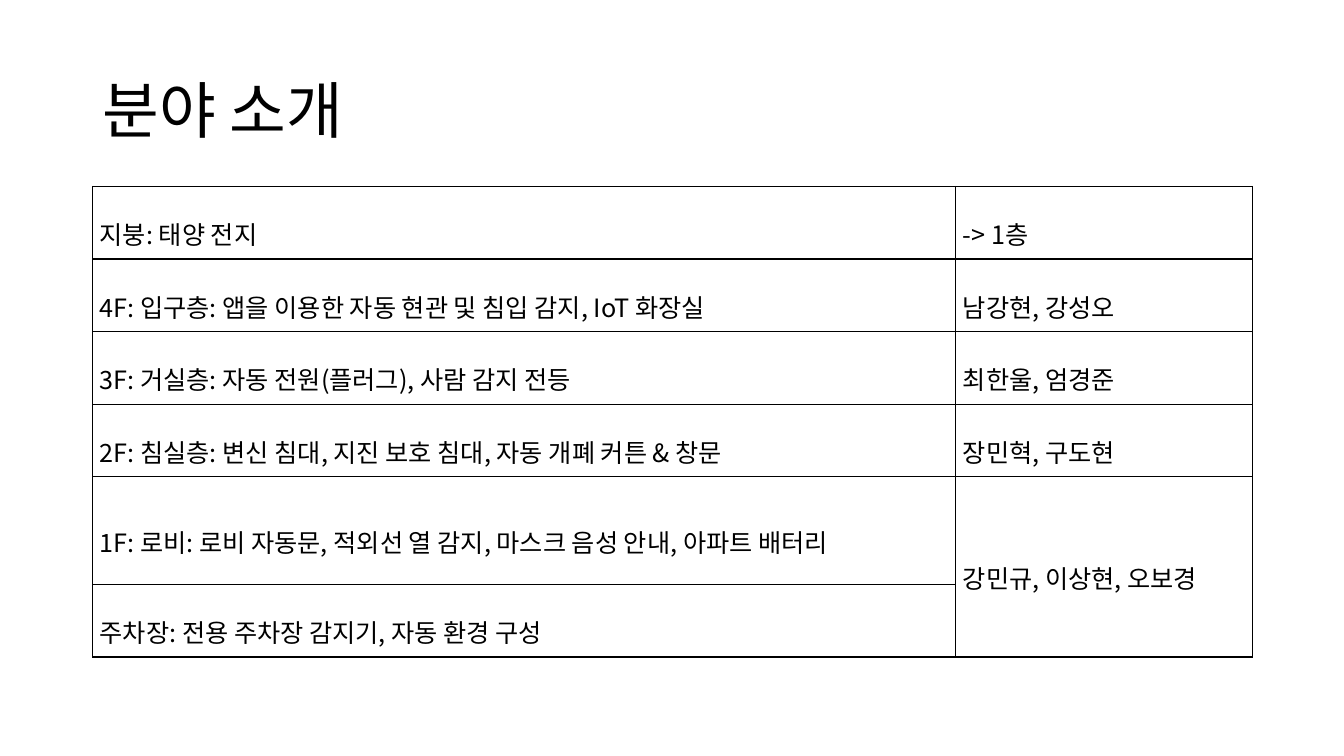
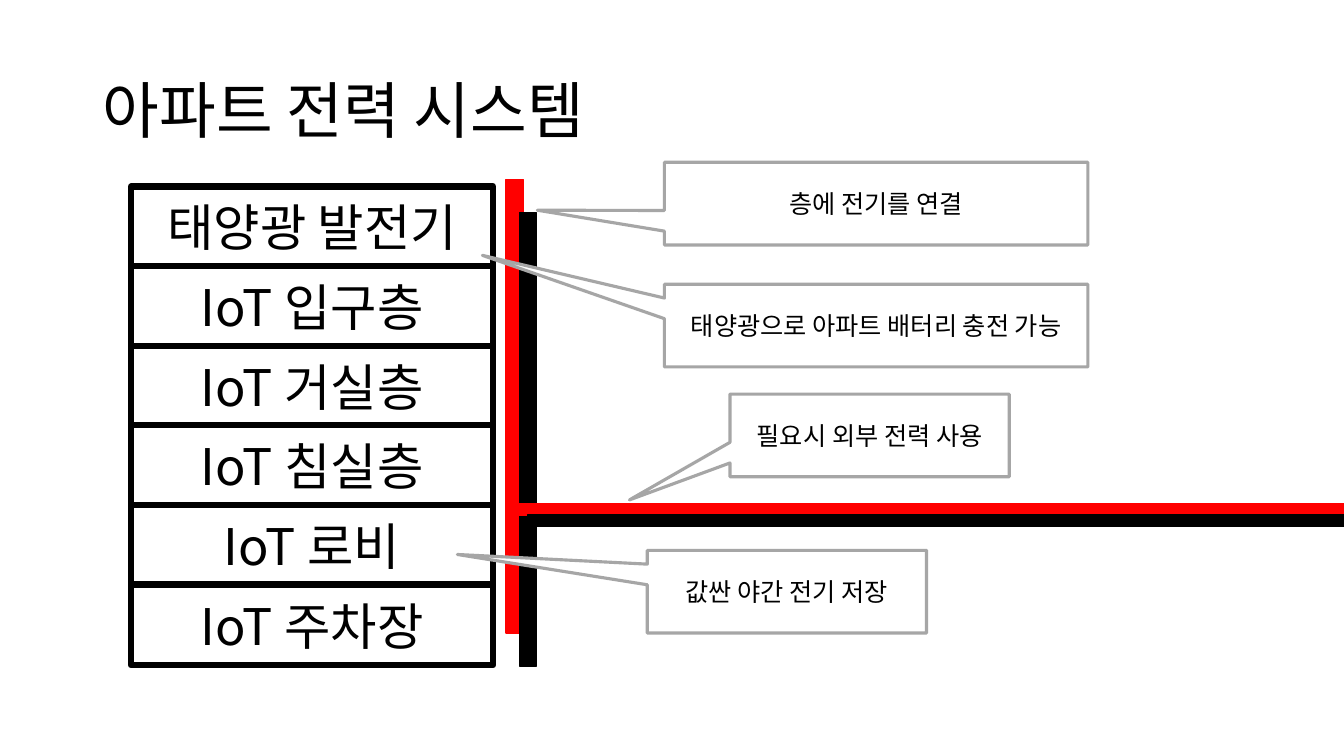
"""Build two slides: the floor assignments and the apartment power system."""
from lxml.etree import SubElement
from pptx import Presentation
from pptx.dml.color import RGBColor
from pptx.enum.shapes import MSO_SHAPE as SHAPE
from pptx.enum.text import MSO_ANCHOR as ANCHOR, PP_ALIGN as ALIGN
from pptx.oxml import parse_xml
from pptx.oxml.ns import nsdecls, qn
from pptx.util import Inches, Pt

COLORS = {"ink": "000000", "paper": "FFFFFF", "live": "FF0000", "callout": "A6A6A6"}
FONT = "Noto Sans CJK KR"


def write(frame, text, size=18, align=ALIGN.CENTER, spacing=None):
    frame.word_wrap = True
    paragraph = frame.paragraphs[0]
    paragraph.alignment = align
    paragraph.line_spacing = spacing
    run = paragraph.add_run()
    run.text = text
    run.font.size = Pt(size)
    run.font.name = FONT
    run.font.color.rgb = RGBColor.from_string(COLORS["ink"])
    SubElement(run.font._element, qn("a:ea"), typeface=FONT)


def add_box(slide, kind, bounds, fill, line, weight):
    box = slide.shapes.add_shape(kind, *map(Inches, bounds))
    box.shadow.inherit = False
    box.fill.solid()
    box.fill.fore_color.rgb = RGBColor.from_string(COLORS[fill])
    box.line.color.rgb = RGBColor.from_string(COLORS[line])
    box.line.width = Pt(weight)
    box.text_frame.vertical_anchor = ANCHOR.MIDDLE
    return box


deck = Presentation()
deck.slide_width, deck.slide_height = Inches(13.33), Inches(7.5)

slides = []
for heading in ("분야 소개", "아파트 전력 시스템"):
    slide = deck.slides.add_slide(deck.slide_layouts[6])
    title = slide.shapes.add_textbox(Inches(0.92), Inches(0.4), Inches(11.5), Inches(1.45))
    title.text_frame.vertical_anchor = ANCHOR.MIDDLE
    write(title.text_frame, heading, size=44, align=ALIGN.LEFT, spacing=0.9)
    slides.append(slide)
fields, power = slides

assignments = [
    ("지붕: 태양 전지", "-> 1층", 0.72),
    ("4F: 입구층: 앱을 이용한 자동 현관 및 침입 감지, IoT 화장실", "남강현, 강성오", 0.72),
    ("3F: 거실층: 자동 전원(플러그), 사람 감지 전등", "최한울, 엄경준", 0.72),
    ("2F: 침실층: 변신 침대, 지진 보호 침대, 자동 개폐 커튼 & 창문", "장민혁, 구도현", 0.72),
    ("1F: 로비: 로비 자동문, 적외선 열 감지, 마스크 음성 안내, 아파트 배터리",
     "강민규, 이상현, 오보경", 1.07),
    ("주차장: 전용 주차장 감지기, 자동 환경 구성", None, 0.72),
]
table = fields.shapes.add_table(len(assignments), 2, Inches(0.92), Inches(1.85),
                                Inches(11.5), Inches(4.68)).table
table.first_row = table.horz_banding = False
table.columns[0].width, table.columns[1].width = Inches(8.56), Inches(2.94)
table.cell(4, 1).merge(table.cell(5, 1))
for row, (work, team, height) in enumerate(assignments):
    table.rows[row].height = Inches(height)
    for column, text in enumerate((work, team)):
        cell = table.cell(row, column)
        cell.fill.background()
        cell.vertical_anchor = ANCHOR.MIDDLE
        cell.margin_left = cell.margin_right = Inches(0.07)
        cell.margin_top = cell.margin_bottom = Inches(0.02)
        if text:
            write(cell.text_frame, text, align=ALIGN.JUSTIFY, spacing=1.6)
        for place, side in enumerate(("lnL", "lnR", "lnT", "lnB")):
            border = parse_xml(
                f'<a:{side} {nsdecls("a")} w="{Pt(1)}"><a:solidFill>'
                f'<a:srgbClr val="{COLORS["ink"]}"/></a:solidFill></a:{side}>')
            cell._tc.get_or_add_tcPr().insert(place, border)

floors = ["태양광 발전기", "IoT 입구층", "IoT 거실층", "IoT 침실층", "IoT 로비", "IoT 주차장"]
for level, name in enumerate(floors):
    floor = add_box(power, SHAPE.RECTANGLE, (1.3, 1.85 + 0.79 * level, 3.59, 0.8),
                    "paper", "ink", 4.5)
    write(floor.text_frame, name, size=36)

wires = [
    ((5.02, 1.78, 0.17, 4.5), "live"),
    ((5.15, 2.11, 0.17, 4.5), "ink"),
    ((5.02, 5, 8.31, 0.11), "live"),
    ((5.23, 5.11, 8.1, 0.11), "ink"),
]
for bounds, color in wires:
    add_box(power, SHAPE.RECTANGLE, bounds, color, color, 1)

notes = [
    ("층에 전기를 연결", 6.59, 1.61, 4.2, (-0.8, 0.08)),
    ("태양광으로 아파트 배터리 충전 가능", 6.59, 2.82, 4.2, (-0.93, -0.85)),
    ("필요시 외부 전력 사용", 7.24, 3.91, 2.77, (-0.86, 0.78)),
    ("값싼 야간 전기 저장", 6.42, 5.46, 2.77, (-1.18, -0.45)),
]
for text, left, top, width, tip in notes:
    note = add_box(power, SHAPE.RECTANGULAR_CALLOUT, (left, top, width, 0.82),
                   "paper", "callout", 2.25)
    note.adjustments[0], note.adjustments[1] = tip
    write(note.text_frame, text)

deck.save("out.pptx")
